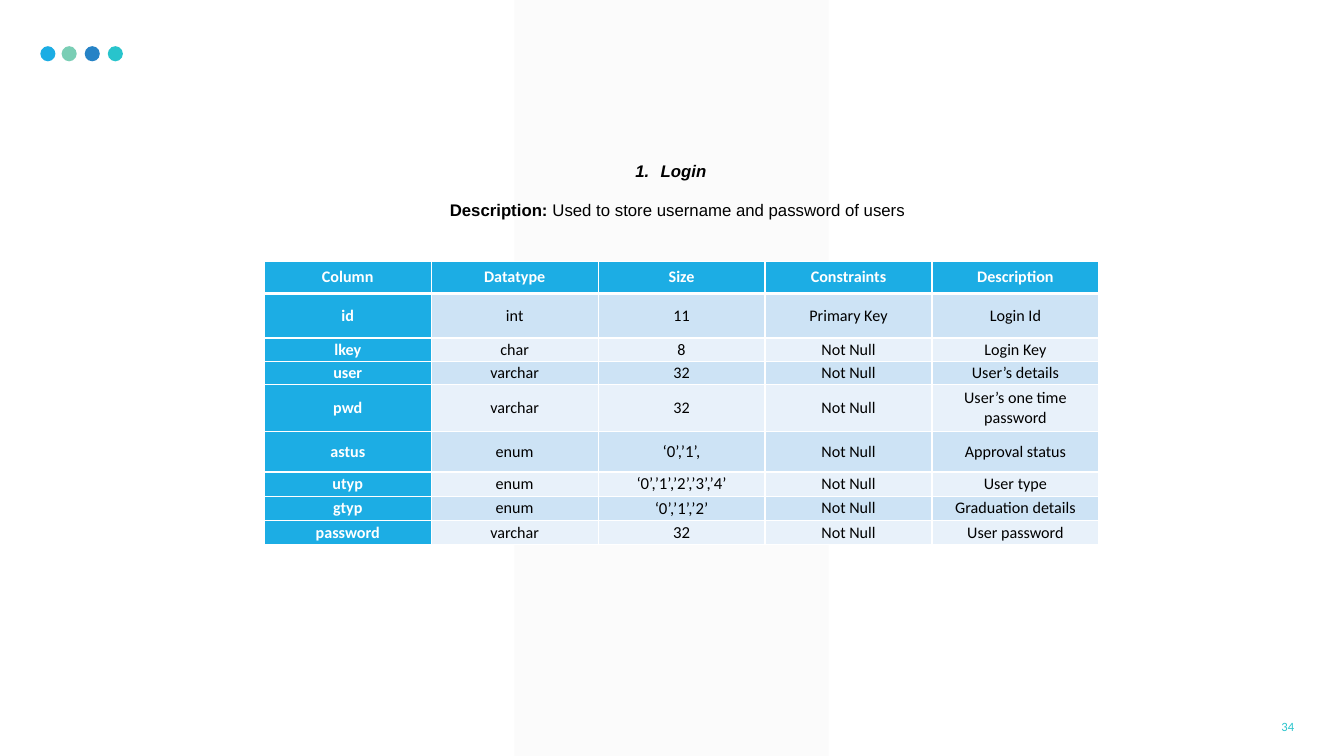
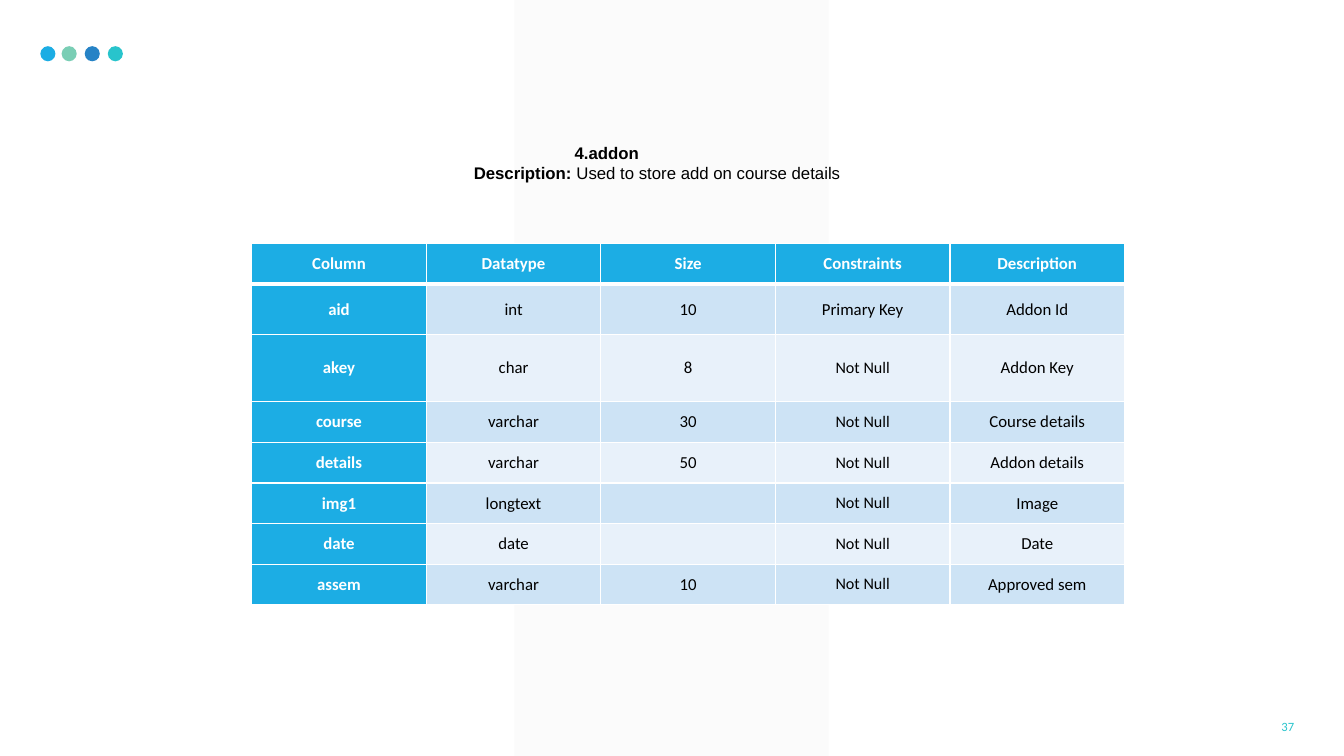
from dataclasses import dataclass

from pptx import Presentation
from pptx.dml.color import RGBColor
from pptx.enum.shapes import MSO_SHAPE as Shape
from pptx.enum.text import MSO_ANCHOR as Anchor, PP_ALIGN as Align
from pptx.oxml.ns import qn
from pptx.util import Pt
from lxml.etree import SubElement


@dataclass(frozen=True)
class Theme:
    accent: str = "1CADE4"
    green: str = "42BA97"
    blue: str = "2683C6"
    teal: str = "28C4CC"
    band: str = "F2F2F2"
    row_dark: str = "CDE3F5"
    row_light: str = "E8F1FA"
    white: str = "FFFFFF"
    black: str = "000000"
    heading_font: str = "Arial"
    body_font: str = "Calibri"
    heading_size: float = 12
    number_size: float = 9
    border: float = 1
    header_border: float = 3


THEME = Theme()
SLIDE_WIDTH, SLIDE_HEIGHT = 960, 540
BAND_LEFT, BAND_WIDTH = 367.5, 224.5
DOT_TOP, DOT_SIZE = 33, 10.8
# left, colour, opacity in percent
DOTS = [
    (28.8, THEME.accent, 100),
    (44, THEME.green, 70),
    (60.5, THEME.blue, 100),
    (77, THEME.teal, 100),
]
HEADER = ("Column", "Datatype", "Size", "Constraints", "Description")

# Heading paragraphs hold runs of (text, bold, italic).
# A text exception is (column, first row, size).
SLIDES = [
    {
        "number": "34",
        "heading": {
            "box": (304.6, 114.7, 349.2, 44),
            "align": Align.CENTER,
            "paragraphs": [
                {"runs": [("Login", True, True)], "indent": 18, "numbered": True},
                {"runs": [("Description: ", True, False),
                          ("Used to store username and password of users", False, False)],
                 "indent": 9.6, "before": 13.8},
            ],
        },
        "table": (188.8, 186.7, 596.2),
        "row_heights": (23, 31.7, 16.8, 16.8, 33.5, 28.8, 17.3, 17.3, 17.3),
        "text_size": 11.5,
        "text_exception": (2, 5, 12),
        "rows": [
            ("id", "int", "11", "Primary Key", "Login Id"),
            ("lkey", "char", "8", "Not Null", "Login Key"),
            ("user", "varchar", "32", "Not Null", "User’s details"),
            ("pwd", "varchar", "32", "Not Null", "User’s one time password"),
            ("astus", "enum", "‘0’,’1’,", "Not Null", "Approval status"),
            ("utyp", "enum", "‘0’,’1’,’2’,’3’,’4’", "Not Null", "User type"),
            ("gtyp", "enum", "‘0’,’1’,’2’", "Not Null", "Graduation details"),
            ("password", "varchar", "32", "Not Null", "User password"),
        ],
    },
    {
        "number": "37",
        "heading": {
            "box": (338.4, 102.2, 300, 30),
            "align": Align.LEFT,
            "paragraphs": [
                {"runs": [("4.addon", True, False)], "indent": 72},
                {"runs": [("Description: ", True, False),
                          ("Used to store add on course details", False, False)]},
            ],
        },
        "table": (179.8, 174, 623.5),
        "row_heights": (29, 36, 48, 29, 29, 29, 29, 29),
        "text_size": 12,
        "text_exception": (3, 2, 11.5),
        "rows": [
            ("aid", "int", "10", "Primary Key", "Addon Id"),
            ("akey", "char", "8", "Not Null", "Addon Key"),
            ("course", "varchar", "30", "Not Null", "Course details"),
            ("details", "varchar", "50", "Not Null", "Addon details"),
            ("img1", "longtext", "", "Not Null", "Image"),
            ("date", "date", "", "Not Null", "Date"),
            ("assem", "varchar", "10", "Not Null", "Approved sem"),
        ],
    },
]


def add_run(paragraph, text, font_name, size, color, bold=False, italic=False):
    run = paragraph.add_run()
    run.text = text
    font = run.font
    font.name, font.size = font_name, Pt(size)
    font.bold, font.italic = bold, italic
    font.color.rgb = RGBColor.from_string(color)


def add_plain_shape(shapes, kind, box, color, opacity=100):
    shape = shapes.add_shape(kind, *map(Pt, box))
    shape.shadow.inherit = False
    shape.line.fill.background()
    shape.fill.solid()
    shape.fill.fore_color.rgb = RGBColor.from_string(color)
    if opacity < 100:
        color_element = shape.element.spPr.find(".//" + qn("a:srgbClr"))
        SubElement(color_element, qn("a:alpha"), val=str(opacity * 1000))


def add_text_frame(slide, box, anchor):
    """Add a wrapping text box without insets and return its text frame."""
    frame = slide.shapes.add_textbox(*map(Pt, box)).text_frame
    frame.word_wrap = True
    frame.vertical_anchor = anchor
    frame.margin_left = frame.margin_right = 0
    frame.margin_top = frame.margin_bottom = 0
    return frame


def add_frame(slide, number):
    """Add what every slide shares: band, page number and dots."""
    add_plain_shape(slide.shapes, Shape.RECTANGLE,
                    (BAND_LEFT, 0, BAND_WIDTH, SLIDE_HEIGHT), THEME.band, 30)
    paragraph = add_text_frame(slide, (722.9, 509, 201.6, 19.4), Anchor.MIDDLE).paragraphs[0]
    paragraph.alignment = Align.RIGHT
    add_run(paragraph, number, THEME.body_font, THEME.number_size, THEME.teal)
    dots = slide.shapes.add_group_shape()
    for left, color, opacity in DOTS:
        add_plain_shape(dots.shapes, Shape.OVAL,
                        (left, DOT_TOP, DOT_SIZE, DOT_SIZE), color, opacity)


def add_heading(slide, heading):
    frame = add_text_frame(slide, heading["box"], Anchor.TOP)
    for index, content in enumerate(heading["paragraphs"]):
        paragraph = frame.add_paragraph() if index else frame.paragraphs[0]
        paragraph.alignment = heading["align"]
        properties = paragraph._p.get_or_add_pPr()
        indent = Pt(content.get("indent", 0))
        properties.set("marL", str(indent))
        if content.get("numbered"):
            properties.set("indent", str(-indent))
            SubElement(properties, qn("a:buAutoNum"), type="arabicPeriod")
        if "before" in content:
            paragraph.space_before = Pt(content["before"])
        for text, bold, italic in content["runs"]:
            add_run(paragraph, text, THEME.heading_font, THEME.heading_size,
                    THEME.black, bold, italic)


def set_borders(cell, row):
    """Draw white cell borders, thicker between the header and the first row."""
    widths = {side: THEME.border for side in ("lnL", "lnR", "lnT", "lnB")}
    if row < 2:
        widths["lnT" if row else "lnB"] = THEME.header_border
    properties = cell._tc.get_or_add_tcPr()
    for side, width in widths.items():
        line = SubElement(properties, qn("a:" + side), w=str(Pt(width)))
        SubElement(SubElement(line, qn("a:solidFill")), qn("a:srgbClr"), val=THEME.white)


def add_field_table(slide, content):
    rows = [HEADER, *content["rows"]]
    heights = content["row_heights"]
    left, top, width = content["table"]
    table = slide.shapes.add_table(len(rows), len(HEADER), Pt(left), Pt(top),
                                   Pt(width), Pt(sum(heights))).table
    table.horz_banding = False
    for row, height in zip(table.rows, heights):
        row.height = Pt(height)
    special_column, special_row, special_size = content["text_exception"]
    for row_index, texts in enumerate(rows):
        for column_index, text in enumerate(texts):
            cell = table.cell(row_index, column_index)
            cell.vertical_anchor = Anchor.MIDDLE
            cell.margin_left = cell.margin_right = Pt(5)
            cell.margin_top = cell.margin_bottom = 0
            set_borders(cell, row_index)
            is_header = row_index == 0 or column_index == 0
            band = THEME.row_dark if row_index % 2 else THEME.row_light
            cell.fill.solid()
            cell.fill.fore_color.rgb = RGBColor.from_string(
                THEME.accent if is_header else band)
            if not text:
                continue
            is_special = column_index == special_column and row_index >= special_row
            paragraph = cell.text_frame.paragraphs[0]
            paragraph.alignment = Align.CENTER
            add_run(paragraph, text, THEME.body_font,
                    special_size if is_special else content["text_size"],
                    THEME.white if is_header else THEME.black, is_header)


def main():
    presentation = Presentation()
    presentation.slide_width, presentation.slide_height = Pt(SLIDE_WIDTH), Pt(SLIDE_HEIGHT)
    for content in SLIDES:
        slide = presentation.slides.add_slide(presentation.slide_layouts[6])
        add_frame(slide, content["number"])
        add_field_table(slide, content)
        add_heading(slide, content["heading"])
    presentation.save("out.pptx")


if __name__ == "__main__":
    main()
